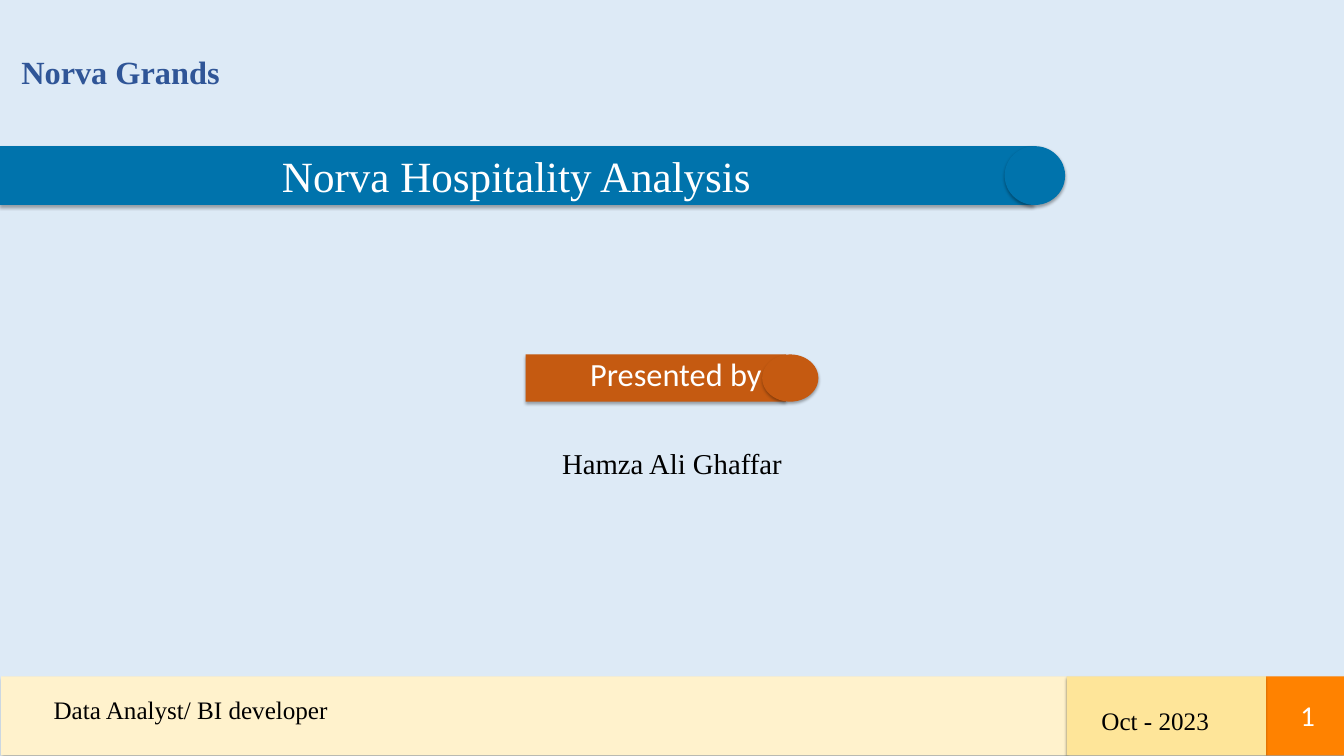
from lxml.etree import SubElement
from pptx import Presentation
from pptx.dml.color import RGBColor
from pptx.enum.shapes import MSO_SHAPE
from pptx.enum.text import MSO_ANCHOR, PP_ALIGN
from pptx.oxml.ns import qn
from pptx.util import Pt

PAGE_WIDTH, PAGE_HEIGHT = 1496.88, 841.68
SERIF, SANS = "Times New Roman", "Calibri"
WHITE, BLACK = "FFFFFF", "000000"


def colour(code):
    return RGBColor.from_string(code)


def add_shadow(shape):
    """Soft shadow falling straight down."""
    shape.shadow.inherit = False
    effects = shape._element.spPr.find(qn("a:effectLst"))
    shadow = SubElement(effects, qn("a:outerShdw"), blurRad=str(Pt(3.5)),
                        dist=str(Pt(2.2)), dir="5400000", rotWithShape="0")
    black = SubElement(shadow, qn("a:srgbClr"), val=BLACK)
    SubElement(black, qn("a:alpha"), val="32000")


def add_block(page, kind, left, top, width, height, fill):
    block = page.shapes.add_shape(kind, Pt(left), Pt(top), Pt(width), Pt(height))
    block.fill.solid()
    block.fill.fore_color.rgb = colour(fill)
    block.line.fill.background()
    add_shadow(block)
    return block


def write(frame, text, size, font, ink, align=PP_ALIGN.LEFT, bold=False):
    para = frame.paragraphs[0]
    para.alignment = align
    span = para.add_run()
    span.text = text
    span.font.size = Pt(size)
    span.font.name = font
    span.font.bold = bold
    span.font.color.rgb = colour(ink)


def add_label(page, left, top, width, height, text, size, font, ink,
              align=PP_ALIGN.LEFT, bold=False, anchor=MSO_ANCHOR.TOP):
    box = page.shapes.add_textbox(Pt(left), Pt(top), Pt(width), Pt(height))
    frame = box.text_frame
    frame.word_wrap = True
    frame.vertical_anchor = anchor
    write(frame, text, size, font, ink, align, bold)


def add_banner(page, left, top, width, height, cap_left, cap_width, fill):
    """Bar with a round cap at its right end; returns the bar's text frame."""
    bar = add_block(page, MSO_SHAPE.RECTANGLE, left, top, width, height, fill)
    add_block(page, MSO_SHAPE.OVAL, cap_left, top, cap_width, height, fill)
    frame = bar.text_frame
    frame.margin_left = frame.margin_right = 0
    frame.margin_top = frame.margin_bottom = 0
    return frame


def add_footer(page):
    top, height = 753.1, 88
    blocks = [(1.4, 1188, "FFF2CC"), (1409.8, PAGE_WIDTH, "FF8200"),
              (1188, 1409.8, "FEE599")]
    for left, right, fill in blocks:
        add_block(page, MSO_SHAPE.RECTANGLE, left, top, right - left, height, fill)
    add_label(page, 1219.7, 782, 176.4, 41, "Oct - 2023", 28, SERIF, BLACK)
    add_label(page, 52.6, 769.7, 887.8, 41, "Data Analyst/ BI developer",
              28, SERIF, BLACK)
    add_label(page, 1426.3, 780.5, 45.4, 30.2, "1", 32, SANS, WHITE,
              PP_ALIGN.RIGHT, anchor=MSO_ANCHOR.MIDDLE)


def main():
    deck = Presentation()
    deck.slide_width, deck.slide_height = Pt(PAGE_WIDTH), Pt(PAGE_HEIGHT)
    page = deck.slides.add_slide(deck.slide_layouts[6])
    page.background.fill.solid()
    page.background.fill.fore_color.rgb = colour("DDEAF6")

    # Title banner and company name
    title = add_banner(page, 0, 162.7, 1150.6, 65.5, 1118.9, 67.4, "0073AC")
    title.vertical_anchor = MSO_ANCHOR.MIDDLE
    write(title, "Norva Hospitality Analysis", 48, SERIF, WHITE, PP_ALIGN.CENTER)
    add_label(page, 16.6, 54.7, 887.8, 51, "Norva Grands", 36, SERIF, "2F5597",
              bold=True)

    # Presenter
    presenter = add_banner(page, 585.4, 394.6, 289.8, 52.6, 848.9, 62.6, "C55A11")
    presenter.vertical_anchor = MSO_ANCHOR.TOP
    presenter.margin_left = Pt(72)
    write(presenter, "Presented by", 36, SANS, WHITE)
    add_label(page, 574.6, 493.2, 347.8, 46, "Hamza Ali Ghaffar", 32, SERIF,
              BLACK, PP_ALIGN.CENTER)

    # Footer strip
    add_footer(page)
    deck.save("out.pptx")


if __name__ == "__main__":
    main()
